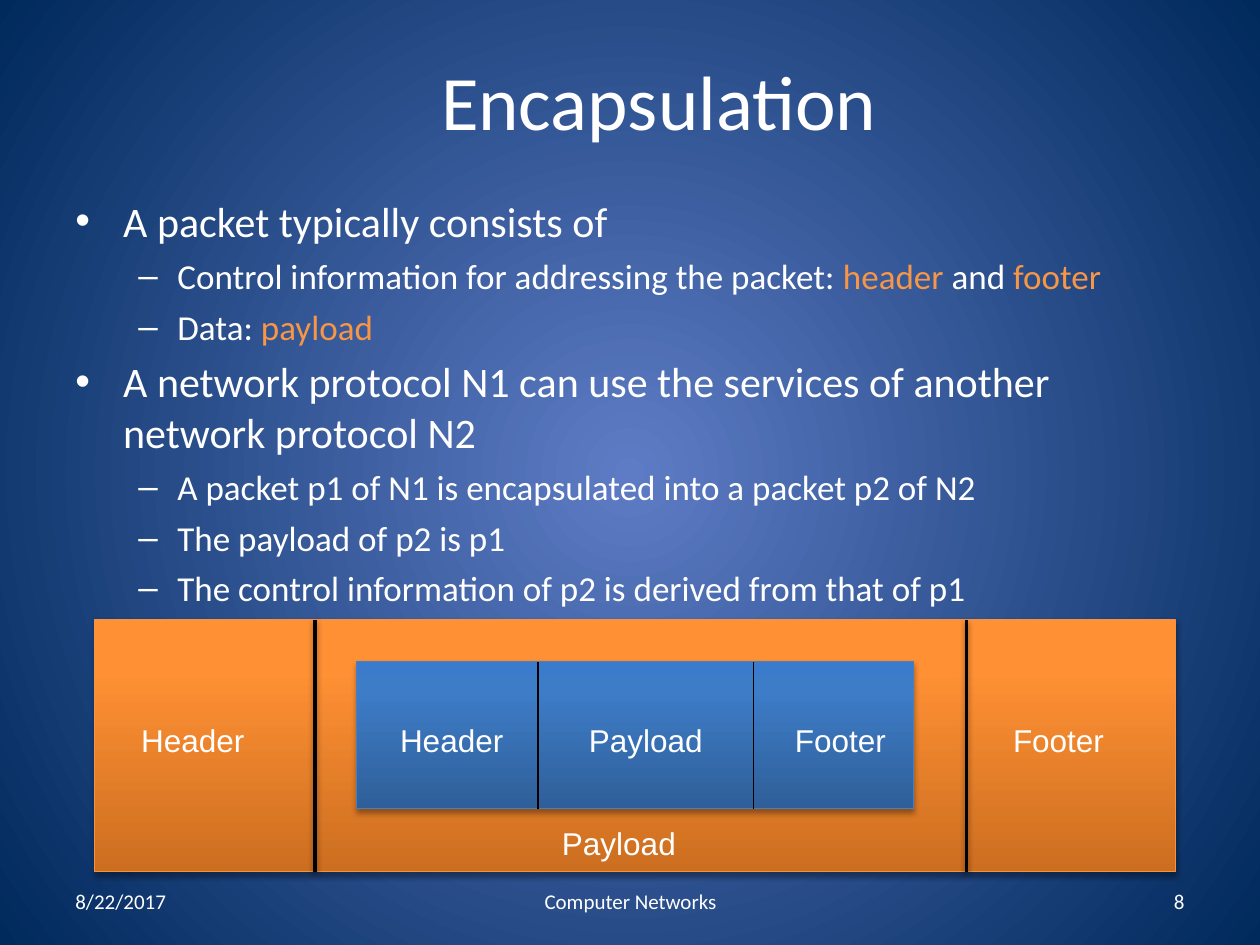
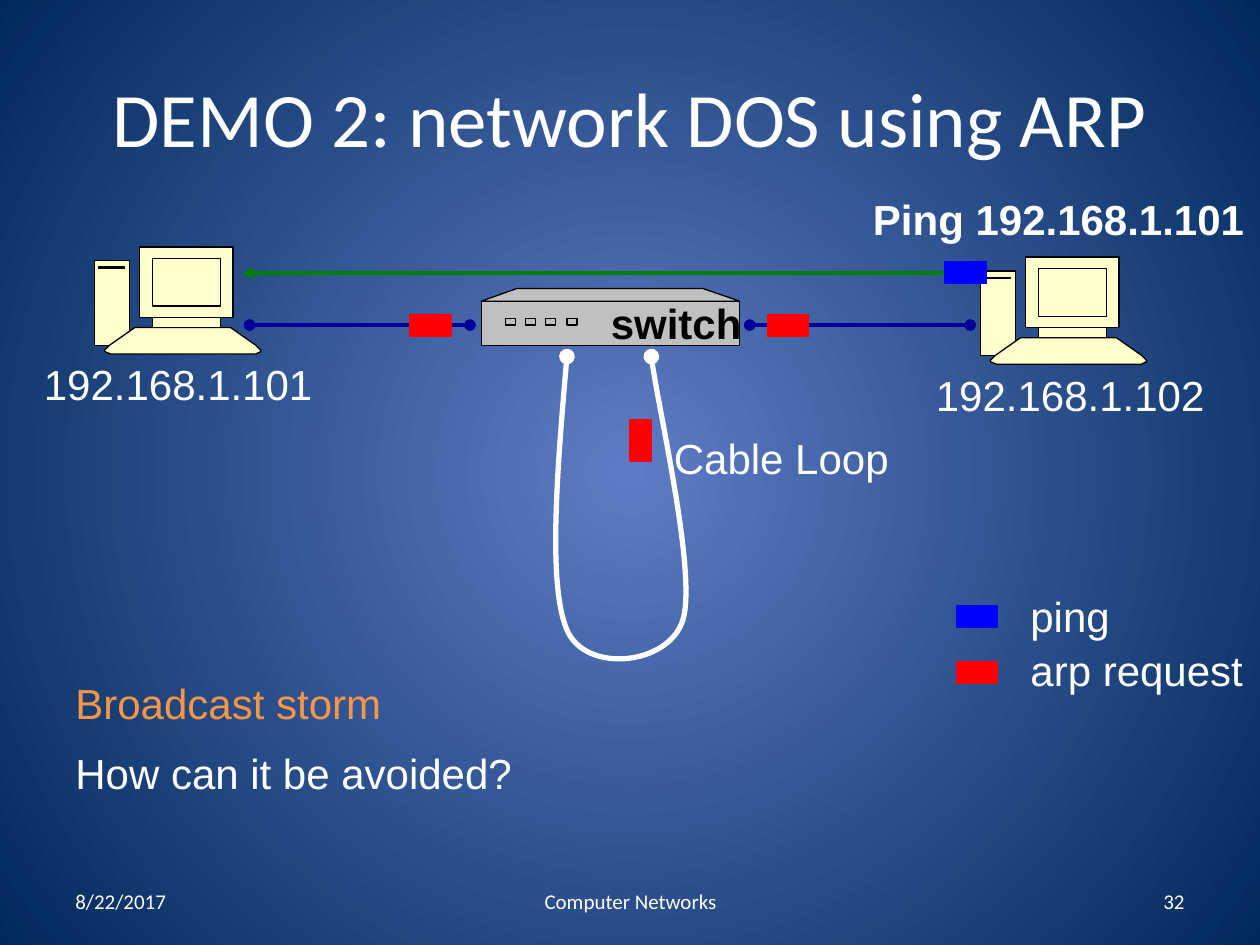
from lxml.etree import SubElement
from pptx import Presentation
from pptx.dml.color import RGBColor
from pptx.enum.shapes import MSO_CONNECTOR, MSO_SHAPE
from pptx.enum.text import MSO_ANCHOR, MSO_AUTO_SIZE, PP_ALIGN
from pptx.oxml.ns import qn
from pptx.util import Pt

PX = 9144  # 100 px to the inch

WHITE = RGBColor(0xFF, 0xFF, 0xFF)
BLACK = RGBColor(0x00, 0x00, 0x00)
ACCENT = RGBColor(0xF7, 0x96, 0x46)
GLOW = RGBColor(0x5E, 0x7C, 0xC5)
NAVY = RGBColor(0x00, 0x29, 0x5C)
ORANGE_EDGE = RGBColor(0xF6, 0x92, 0x40)
BLUE_EDGE = RGBColor(0x4B, 0x7E, 0xBC)
CREAM = RGBColor(0xFF, 0xFF, 0xCC)
GREY = RGBColor(0xC0, 0xC0, 0xC0)
CABLE = RGBColor(0x00, 0x00, 0x99)
GREEN = RGBColor(0x00, 0x80, 0x00)
PING = RGBColor(0x00, 0x00, 0xFF)
ARP = RGBColor(0xFF, 0x00, 0x00)

ORANGE_STOPS = [(0, RGBColor(0xCC, 0x6E, 0x20)), (80, RGBColor(0xFF, 0x90, 0x34)),
                (100, RGBColor(0xFF, 0x91, 0x36))]
BLUE_STOPS = [(0, RGBColor(0x2F, 0x5F, 0x99)), (80, RGBColor(0x3D, 0x7C, 0xC7)),
              (100, RGBColor(0x3A, 0x7C, 0xCB))]

TITLE_FONT = "Calibri"
LABEL_FONT = "Arial"
DEFAULT_MARGINS = (10, 5, 10, 5)
WIDE_MARGINS = (10, 5, 14, 5)
TIGHT_MARGINS = (4, 0, 4, 0)


def px(*lengths):
    return [length * PX for length in lengths]


# Fills, shadows and line ends
def paint_gradient(fill, holder, stops, radial=False):
    fill.gradient()
    gradient = holder.find(".//" + qn("a:gradFill"))
    for child in list(gradient):
        gradient.remove(child)
    stop_list = SubElement(gradient, qn("a:gsLst"))
    for percent, color in stops:
        stop = SubElement(stop_list, qn("a:gs"), pos=str(percent * 1000))
        SubElement(stop, qn("a:srgbClr"), val=str(color))
    if radial:
        focus = SubElement(gradient, qn("a:path"), path="circle")
        SubElement(focus, qn("a:fillToRect"), l="50000", t="50000", r="50000", b="50000")
    else:
        SubElement(gradient, qn("a:lin"), ang="16200000", scaled="0")


def set_shadow(shape, opacity=0, distance=0):
    properties = shape._element.spPr
    effects = properties.find(qn("a:effectLst"))
    if effects is None:
        effects = SubElement(properties, qn("a:effectLst"))
    if opacity:
        shadow = SubElement(effects, qn("a:outerShdw"), blurRad="40000", dist=str(distance),
                            dir="5400000", rotWithShape="0")
        color = SubElement(shadow, qn("a:srgbClr"), val=str(BLACK))
        SubElement(color, qn("a:alpha"), val=str(opacity * 1000))


def style_line(shape, color, width, head=None, tail=None):
    shape.line.color.rgb = color
    shape.line.width = Pt(width)
    outline = shape._element.spPr.find(qn("a:ln"))
    for tag, kind in (("a:headEnd", head), ("a:tailEnd", tail)):
        if kind:
            SubElement(outline, qn(tag), type=kind)


# Text
def add_frame(page, at, margins=DEFAULT_MARGINS, anchor=MSO_ANCHOR.TOP):
    frame = page.shapes.add_textbox(*px(*at)).text_frame
    frame.word_wrap = True
    frame.vertical_anchor = anchor
    (frame.margin_left, frame.margin_top,
     frame.margin_right, frame.margin_bottom) = px(*margins)
    return frame


def style_para(para, size, font, color=WHITE, align=PP_ALIGN.LEFT, bold=False):
    para.alignment = align
    para.font.size = Pt(size)
    para.font.name = font
    para.font.color.rgb = color
    para.font.bold = bold


def add_title(page, at, text, margins=DEFAULT_MARGINS):
    frame = add_frame(page, at, margins, MSO_ANCHOR.MIDDLE)
    frame.text = text
    style_para(frame.paragraphs[0], 44, TITLE_FONT, align=PP_ALIGN.CENTER)


def add_footer(page, number):
    for left, width, text, align in ((50, 233, "8/22/2017", PP_ALIGN.LEFT),
                                     (342, 317, "Computer Networks", PP_ALIGN.CENTER),
                                     (717, 233, str(number), PP_ALIGN.RIGHT)):
        frame = add_frame(page, (left, 695, width, 40), anchor=MSO_ANCHOR.MIDDLE)
        frame.text = text
        style_para(frame.paragraphs[0], 12, TITLE_FONT, align=align)


def add_bullets(page, at, items):
    frame = add_frame(page, at, WIDE_MARGINS)
    for index, (level, pieces) in enumerate(items):
        para = frame.paragraphs[0] if index == 0 else frame.add_paragraph()
        indent, hanging, mark, size = ((38, 38, "•", 24), (81, 31, "–", 20))[level]
        para.level = level
        para.space_before = Pt(5)
        properties = para._p.get_or_add_pPr()
        properties.set("marL", str(indent * PX))
        properties.set("indent", str(-hanging * PX))
        SubElement(properties, qn("a:buFont"), typeface="Arial")
        SubElement(properties, qn("a:buChar"), char=mark)
        style_para(para, size, TITLE_FONT)
        for position, piece in enumerate(pieces):  # every second piece is a key term
            span = para.add_run()
            span.text = piece
            if position % 2:
                span.font.color.rgb = ACCENT


def add_part_name(page, at, text, align=PP_ALIGN.LEFT):
    frame = add_frame(page, at, TIGHT_MARGINS)
    frame.text = text
    style_para(frame.paragraphs[0], 18, LABEL_FONT, align=align)


def add_label(page, left, top, width, text, color=WHITE, bold=False):
    frame = add_frame(page, (left, top, width, 48))
    frame.word_wrap = False
    frame.auto_size = MSO_AUTO_SIZE.SHAPE_TO_FIT_TEXT
    frame.text = text
    frame.paragraphs[0].line_spacing = 0.93
    style_para(frame.paragraphs[0], 24, LABEL_FONT, color, bold=bold)


# Shapes
def add_packet_frame(page, at, stops, edge):
    box = page.shapes.add_shape(MSO_SHAPE.RECTANGLE, *px(*at))
    paint_gradient(box.fill, box._element, stops)
    style_line(box, edge, 0.75)
    box.shadow.inherit = False
    set_shadow(box, 35, 23000)


def add_line(page, start, end, color, width, head=None, tail=None):
    line = page.shapes.add_connector(MSO_CONNECTOR.STRAIGHT, *px(*start, *end))
    style_line(line, color, width, head, tail)
    set_shadow(line)
    return line


def add_packet(page, left, top, color, turn=270):
    packet = page.shapes.add_shape(MSO_SHAPE.RECTANGLE, *px(left, top, 17, 33))
    packet.rotation = turn
    packet.fill.solid()
    packet.fill.fore_color.rgb = color
    style_line(packet, color, 0.75)
    packet.shadow.inherit = False


def corners(left, top, right, bottom):
    return [(left, top), (right, top), (right, bottom), (left, bottom)]


def add_device(page, left, top, contours, fill):
    """One freeform whose closed contours are painted one over another."""
    contours = [[(left + x, top + y) for x, y in contour] for contour in contours]
    builder = page.shapes.build_freeform(*contours[0][0], scale=PX)
    for index, contour in enumerate(contours):
        if index:
            builder.move_to(*contour[0])
        builder.add_line_segments(contour[1:], close=True)
    device = builder.convert_to_shape()
    device.fill.solid()
    device.fill.fore_color.rgb = fill
    style_line(device, BLACK, 0.75)
    device.shadow.inherit = False
    # Give each contour its own layer, so that inner ones cut no holes
    outline = device._element.find(".//" + qn("a:path"))
    layers = outline.getparent()
    for step in list(outline):
        if step.tag == qn("a:moveTo"):
            layer = SubElement(layers, qn("a:path"), w=outline.get("w"), h=outline.get("h"))
        layer.append(step)
    layers.remove(outline)


def add_computer(page, left, top):
    tower, slot = corners(0, 11, 28, 78), corners(3, 16, 24, 17)
    monitor, screen = corners(36, 0, 110, 56), corners(46, 9, 100, 47)
    neck = corners(46, 56, 100, 64)
    keyboard = [(32, 64), (108, 64), (128, 78), (132, 82), (132, 83),
                (128, 85), (13, 85), (8, 83), (8, 82), (12, 78)]
    add_device(page, left, top, [tower, slot, keyboard, neck, monitor, screen], CREAM)


def add_switch(page, left, top):
    lid = [(0, 10), (28, 0), (176, 0), (205, 10)]
    front = corners(0, 10, 205, 45)
    ports = [corners(x, 24, x + 8, 29) for x in (19, 35, 51, 68)]
    add_device(page, left, top, [lid, front, *ports], GREY)


def add_cable_loop(page, points):
    """A curve through every third point; the others are its control points."""
    builder = page.shapes.build_freeform(*points[0], scale=PX)
    builder.add_line_segments(points[1:], close=False)
    loop = builder.convert_to_shape()
    loop.fill.background()
    style_line(loop, WHITE, 3, "oval", "oval")
    loop.shadow.inherit = False
    outline = loop._element.find(".//" + qn("a:path"))
    for index, step in enumerate(outline.findall(qn("a:lnTo"))):
        if index % 3 == 0:
            curve = SubElement(outline, qn("a:cubicBezTo"))
        curve.append(step[0])
        outline.remove(step)


# Slides
def build_encapsulation(page):
    add_title(page, (50, 0, 950, 158), "Encapsulation", WIDE_MARGINS)
    add_bullets(page, (50, 150, 900, 350), [
        (0, ["A packet typically consists of"]),
        (1, ["Control information for addressing the packet: ", "header", " and ", "footer"]),
        (1, ["Data: ", "payload"]),
        (0, ["A network protocol N1 can use the services of another network protocol N2"]),
        (1, ["A packet p1 of N1 is encapsulated into a packet p2 of N2"]),
        (1, ["The payload of p2 is p1"]),
        (1, ["The control information of p2 is derived from that of p1"]),
    ])
    add_footer(page, 8)

    # Outer packet
    add_packet_frame(page, (75, 492, 858, 200), ORANGE_STOPS, ORANGE_EDGE)
    for x in (250, 767):
        set_shadow(add_line(page, (x, 492), (x, 692), BLACK, 2), 38, 20000)
    add_part_name(page, (108, 572, 117, 39), "Header")
    add_part_name(page, (442, 654, 125, 39), "Payload")
    add_part_name(page, (800, 572, 100, 39), "Footer")

    # Inner packet
    add_packet_frame(page, (283, 525, 442, 117), BLUE_STOPS, BLUE_EDGE)
    for left, width, name in ((300, 117, "Header"), (454, 117, "Payload"), (617, 100, "Footer")):
        add_part_name(page, (left, 572, width, 39), name, PP_ALIGN.CENTER)
    for x in (427, 598):
        add_line(page, (x, 642), (x, 525), BLACK, 1)


def build_arp_demo(page):
    add_title(page, (50, 30, 900, 125), "DEMO 2: network DOS using ARP")
    add_footer(page, 32)

    # Network
    add_computer(page, 75, 196)
    add_computer(page, 778, 204)
    add_label(page, 25, 283, 236, "192.168.1.101")
    add_switch(page, 382, 229)
    add_label(page, 475, 235, 133, "switch", BLACK, bold=True)
    for start, end in ((198, 373), (595, 770)):
        add_line(page, (start, 258), (end, 258), CABLE, 2.25, "oval", "oval")
    add_label(page, 733, 292, 236, "192.168.1.102")
    add_cable_loop(page, [(450, 283), (442, 374), (435, 465), (450, 500), (465, 535),
                          (531, 528), (542, 492), (553, 456), (521, 318), (517, 283)])
    add_label(page, 525, 342, 193, "Cable Loop")

    # Packets on their way
    add_packet(page, 500, 333, ARP, turn=0)
    for left in (333, 617):
        add_packet(page, left, 242, ARP)
    add_line(page, (767, 217), (192, 217), GREEN, 2.25, tail="triangle")
    add_packet(page, 758, 200, PING)
    add_label(page, 683, 152, 318, "Ping 192.168.1.101", bold=True)

    # Legend
    for packet_top, label_top, width, name, color in ((517, 510, 191, "arp request", ARP),
                                                      (473, 467, 84, "ping", PING)):
        add_packet(page, 767, packet_top, color)
        add_label(page, 808, label_top, width, name)

    # Question
    add_label(page, 50, 592, 370, "How can it be avoided?")
    add_label(page, 50, 536, 265, "Broadcast storm", ACCENT)


def main():
    deck = Presentation()
    deck.slide_width, deck.slide_height = px(1000, 750)
    master = deck.slide_master
    paint_gradient(master.background.fill, master._element, [(0, GLOW), (100, NAVY)], radial=True)
    blank = deck.slide_layouts[6]
    for build in (build_encapsulation, build_arp_demo):
        build(deck.slides.add_slide(blank))
    deck.save("out.pptx")


if __name__ == "__main__":
    main()
